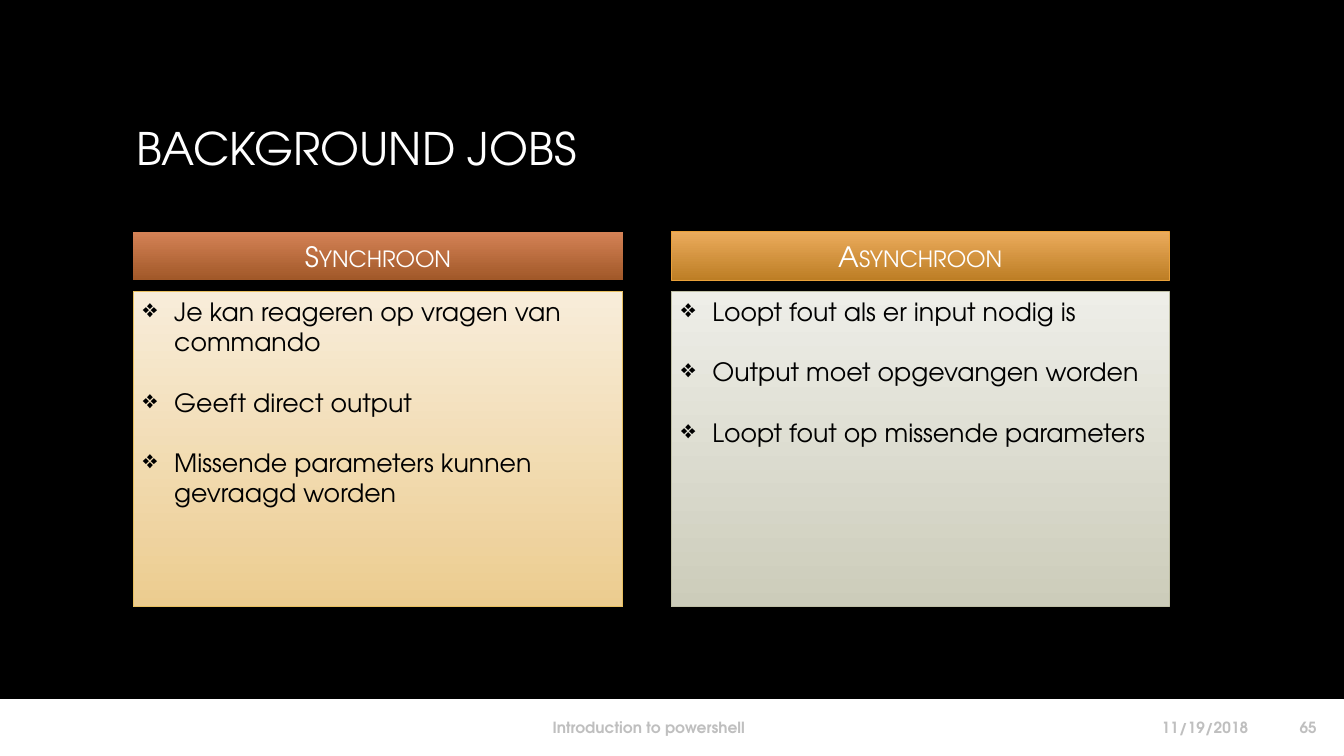
from lxml.etree import SubElement
from pptx import Presentation
from pptx.dml.color import RGBColor
from pptx.enum.shapes import MSO_SHAPE
from pptx.enum.text import MSO_ANCHOR as ANCHOR, MSO_AUTO_SIZE as AUTO_SIZE, PP_ALIGN as ALIGN
from pptx.oxml.ns import qn
from pptx.util import Inches, Pt

FONT = "TeX Gyre Adventor"
COLORS = {
    "background": "000000",
    "light": "FFFFFF",
    "dark": "000000",
    "footer": "BFBFBF",
}
PANELS = [
    {
        "left": 9.9, "width": 36.45, "heading": "Synchroon",
        "heading_fill": ("D48256", "A15828"), "heading_line": None,
        "body_fill": ("F8EDDA", "ECCC8F"), "body_line": "E7BF5F",
        "points": ["Je kan reageren op vragen van commando", "Geeft direct output",
                   "Missende parameters kunnen gevraagd worden"],
    },
    {
        "left": 49.95, "width": 37.05, "heading": "Asynchroon",
        "heading_fill": ("EBAB5C", "BD7E25"), "heading_line": "E9A039",
        "body_fill": ("EEEEE8", "CCCCBA"), "body_line": "BFBFA5",
        "points": ["Loopt fout als er input nodig is", "Output moet opgevangen worden",
                   "Loopt fout op missende parameters"],
    },
]
FOOTERS = [
    ("11/19/2018", 80.5, 13.13, ALIGN.RIGHT),
    ("Introduction to powershell", 17.33, 61.89, ALIGN.CENTER),
    ("65", 94.22, 4.5, ALIGN.RIGHT),
]


class SlideBuilder:
    """Places elements by percentages of the slide's width and height."""

    def __init__(self, presentation):
        self.width = presentation.slide_width
        self.height = presentation.slide_height
        self.slide = presentation.slides.add_slide(presentation.slide_layouts[5])
        background = self.slide.background.fill
        background.solid()
        background.fore_color.rgb = RGBColor.from_string(COLORS["background"])

    def area(self, left, top, width, height):
        return (round(self.width * left / 100), round(self.height * top / 100),
                round(self.width * width / 100), round(self.height * height / 100))

    def add_text(self, paragraph, text, size, color, align=ALIGN.LEFT, bold=False):
        paragraph.alignment = align
        run = paragraph.add_run()
        run.text = text
        run.font.name = FONT
        run.font.size = Pt(size)
        run.font.bold = bold
        run.font.color.rgb = RGBColor.from_string(COLORS[color])
        return run

    def title(self, text, *area):
        shape = self.slide.shapes.title
        shape.left, shape.top, shape.width, shape.height = self.area(*area)
        frame = shape.text_frame
        frame.auto_size = AUTO_SIZE.NONE
        frame.vertical_anchor = ANCHOR.MIDDLE
        self.add_text(frame.paragraphs[0], text, 32, "light")

    def box(self, area, fill, line=None):
        """Draws a rectangle; two fill colours run from top to bottom."""
        shape = self.slide.shapes.add_shape(MSO_SHAPE.RECTANGLE, *self.area(*area))
        shape.shadow.inherit = False
        if len(fill) == 1:
            shape.fill.solid()
            shape.fill.fore_color.rgb = RGBColor.from_string(fill[0])
        else:
            shape.fill.gradient()
            shape.fill.gradient_angle = 270
            for stop, color, position in zip(shape.fill.gradient_stops, fill, (0, 1)):
                stop.color.rgb = RGBColor.from_string(color)
                stop.position = position
        if line:
            shape.line.color.rgb = RGBColor.from_string(line)
            shape.line.width = Pt(0.75)
        else:
            shape.line.fill.background()
        return shape

    def heading(self, text, area, fill, line):
        frame = self.box(area, fill, line).text_frame
        frame.vertical_anchor = ANCHOR.MIDDLE
        run = self.add_text(frame.paragraphs[0], text, 20, "light", ALIGN.CENTER)
        run._r.get_or_add_rPr().set("cap", "small")

    def bullets(self, points, area, fill, line):
        frame = self.box(area, fill, line).text_frame
        frame.vertical_anchor = ANCHOR.TOP
        for index, point in enumerate(points):
            paragraph = frame.add_paragraph() if index else frame.paragraphs[0]
            if index:
                paragraph.space_before = Pt(21.6)
            properties = paragraph._p.get_or_add_pPr()
            properties.set("marL", str(Inches(0.31)))
            properties.set("indent", str(-Inches(0.31)))
            SubElement(properties, qn("a:buChar")).set("char", "❖")
            self.add_text(paragraph, point, 18, "dark")

    def footer(self, text, left, width, align):
        shape = self.slide.shapes.add_textbox(*self.area(left, 93.5, width, 5.33))
        frame = shape.text_frame
        frame.word_wrap = True
        frame.vertical_anchor = ANCHOR.MIDDLE
        self.add_text(frame.paragraphs[0], text, 11, "footer", align, bold=True)


def main():
    presentation = Presentation()
    presentation.slide_width = Inches(13.33)
    presentation.slide_height = Inches(7.5)
    builder = SlideBuilder(presentation)

    builder.box((0, 92.53, 100, 7.4), [COLORS["light"]], COLORS["light"])
    builder.title("BACKGROUND JOBS", 9.38, 5.6, 81.25, 27.75)
    for footer in FOOTERS:
        builder.footer(*footer)
    for panel in PANELS:
        left, width = panel["left"], panel["width"]
        builder.heading(panel["heading"], (left, 30.67, width, 6.4),
                        panel["heading_fill"], panel["heading_line"])
        builder.bullets(panel["points"], (left, 38.53, width, 41.73),
                        panel["body_fill"], panel["body_line"])
    presentation.save("out.pptx")


if __name__ == "__main__":
    main()
